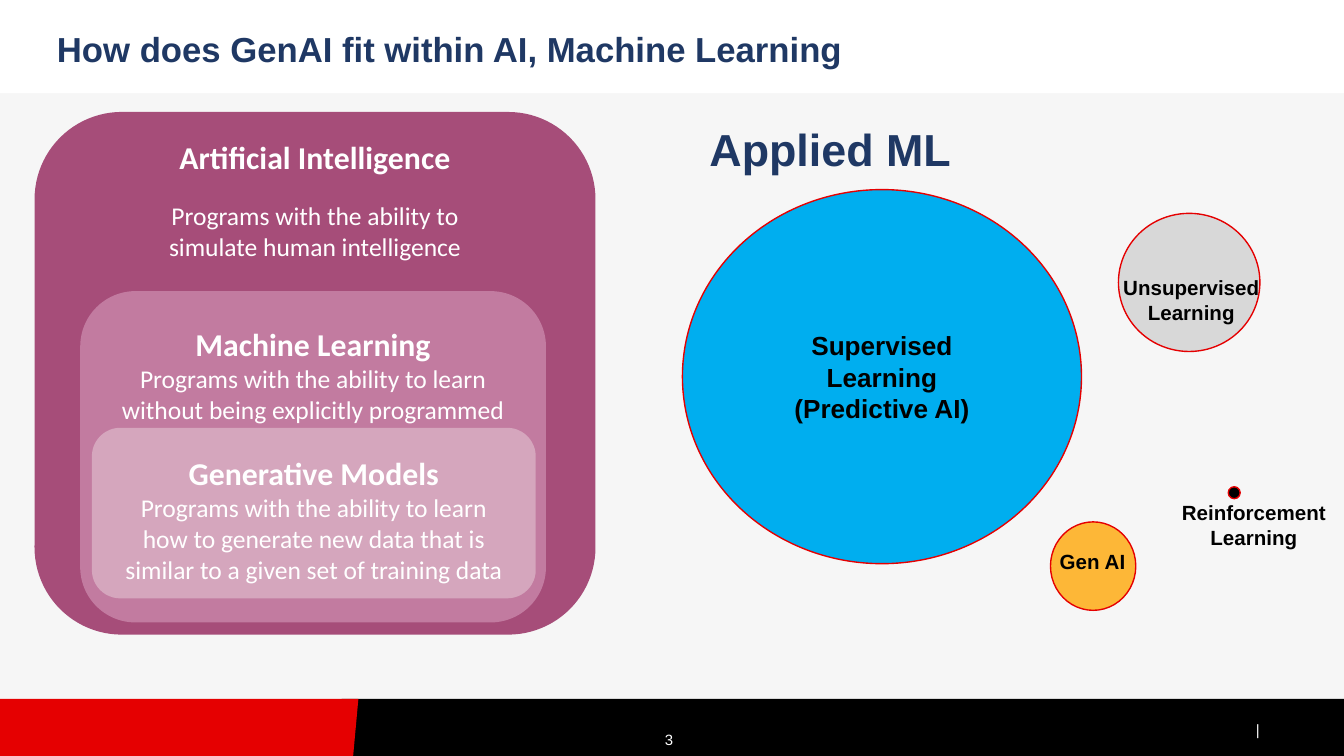
from dataclasses import dataclass, field

import pptx
import pptx.dml.color
import pptx.enum.shapes
import pptx.enum.text
import pptx.util

Pt = pptx.util.Pt
Kind = pptx.enum.shapes.MSO_SHAPE
Align = pptx.enum.text.PP_ALIGN
Anchor = pptx.enum.text.MSO_ANCHOR
Fit = pptx.enum.text.MSO_AUTO_SIZE

RED, BLACK, WHITE, NAVY = "E50001", "000000", "FFFFFF", "1F3864"
Box = tuple[float, float, float, float]
TIGHT = (5, 3, 5, 3)
EVEN = (7.2, 7.2, 7.2, 7.2)


@dataclass
class Line:
    text: str
    size: float
    color: str = BLACK
    bold: bool = True
    font: str = "Arial"
    form: dict = field(default_factory=lambda: {"alignment": Align.CENTER})


@dataclass
class Card:
    box: Box
    fill: str
    inset: Box
    head: str
    body: list[str]
    gap: float = 0


@dataclass
class Disc:
    box: Box
    fill: str
    label: str
    spot: Box


def tint(color: str) -> pptx.dml.color.RGBColor:
    return pptx.dml.color.RGBColor.from_string(color)


def apply(target, form: dict) -> None:
    for name, value in form.items():
        setattr(target, name, value)


def write(shape, lines: list[Line], inset: Box, anchor=Anchor.TOP) -> None:
    frame = shape.text_frame
    left, top, right, base = map(Pt, inset)
    apply(frame, {
        "word_wrap": True, "auto_size": Fit.NONE, "vertical_anchor": anchor,
        "margin_left": left, "margin_top": top,
        "margin_right": right, "margin_bottom": base,
    })
    for index, line in enumerate(lines):
        para = frame.add_paragraph() if index else frame.paragraphs[0]
        para.text = line.text
        apply(para, line.form)
        apply(para.font, {"name": line.font, "size": Pt(line.size), "bold": line.bold})
        para.font.color.rgb = tint(line.color)


def paint(shape, fill: str, edge: str = ""):
    shape.shadow.inherit = False
    shape.fill.solid()
    shape.fill.fore_color.rgb = tint(fill)
    if edge:
        shape.line.color.rgb = tint(edge)
        shape.line.width = Pt(0.75)
    else:
        shape.line.fill.background()
    return shape


def draw(shapes, kind, box: Box, fill: str, edge: str = ""):
    return paint(shapes.add_shape(kind, *map(Pt, box)), fill, edge)


def label(shapes, box: Box, line: Line, inset: Box = EVEN, anchor=Anchor.TOP) -> None:
    write(shapes.add_textbox(*map(Pt, box)), [line], inset, anchor)


def add_card(shapes, card: Card) -> None:
    shape = draw(shapes, Kind.ROUNDED_RECTANGLE, card.box, card.fill)
    shape.adjustments[0] = 0.167
    lines = [Line(card.head, 17, WHITE, font="Calibri")]
    for index, text in enumerate(card.body):
        form = {"alignment": Align.CENTER, "space_before": Pt(0 if index else card.gap)}
        lines.append(Line(text, 13.7, WHITE, False, "Calibri", form))
    write(shape, lines, card.inset)


def add_disc(shapes, disc: Disc) -> None:
    group = shapes.add_group_shape().shapes
    draw(group, Kind.OVAL, disc.box, disc.fill, RED)
    label(group, disc.spot, Line(disc.label, 11))


CARDS = [
    Card((18.5, 60, 300.5, 280), "A64D79", (9.6, 0, 9.6, 9.6), "Artificial Intelligence",
         ["Programs with the ability to", "simulate human intelligence"], 13.3),
    Card((43, 156, 249.5, 177.5), "C27BA0", (9.6,) * 4, "Machine Learning",
         ["Programs with the ability to learn without being explicitly programmed"]),
    Card((49.2, 229.2, 237.8, 91.4), "D5A6BD", (9.6,) * 4, "Generative Models",
         ["Programs with the ability to learn how to generate new data that is "
          "similar to a given set of training data"]),
]
DISCS = [
    Disc((599.2, 114.3, 75.8, 74), "D8D8D8", "Unsupervised Learning", (579.2, 140.4, 118, 41)),
    Disc((562.8, 279.6, 45.7, 47.4), "FDB737", "Gen AI", (526.3, 287, 118, 28)),
    Disc((658, 260.8, 6.4, 6.4), BLACK, "Reinforcement Learning", (612.7, 260.8, 118, 41)),
]


def main() -> None:
    deck = pptx.Presentation()
    apply(deck, {"slide_width": Pt(720), "slide_height": Pt(405)})
    slide = deck.slides.add_slide(deck.slide_layouts[5])
    back = slide.background.fill
    back.solid()
    back.fore_color.rgb = tint("F6F6F6")
    shapes = slide.shapes

    draw(shapes, Kind.RECTANGLE, (183, 374.4, 537, 30.6), BLACK)
    draw(shapes, Kind.RECTANGLE, (0, 0, 720, 50), WHITE)
    label(shapes, (666.7, 380.2, 14.4, 21.6), Line("|", 8, WHITE, False), TIGHT, Anchor.MIDDLE)
    pen = shapes.build_freeform(Pt(0), Pt(374.4))
    pen.add_line_segments([(Pt(192), Pt(374.4)), (Pt(189.2), Pt(405)), (Pt(0), Pt(405))])
    paint(pen.convert_to_shape(), RED)

    flush = {"alignment": Align.LEFT, "line_spacing": 0.9}
    title = shapes.title
    apply(title, dict(zip(("left", "top", "width", "height"), map(Pt, (25.5, 14.4, 447, 34.6)))))
    write(title, [Line("How does GenAI fit within AI, Machine Learning", 18.6, NAVY, form=flush)], TIGHT)
    shapes._spTree.append(title._element)
    label(shapes, (336.2, 385.2, 29.5, 21.6),
          Line("3", 8, WHITE, False, form={"alignment": Align.RIGHT}), TIGHT, Anchor.MIDDLE)

    for card in CARDS:
        add_card(shapes, card)
    main_disc = draw(shapes, Kind.OVAL, (365.6, 101.6, 213.8, 200.4), "00AEEF", RED)
    write(main_disc, [Line("Supervised Learning", 14), Line("(Predictive AI)", 14)], EVEN, Anchor.MIDDLE)
    label(shapes, (373, 61.2, 236, 41), Line("Applied ML", 24, NAVY, form=flush))
    for disc in DISCS:
        add_disc(shapes, disc)

    deck.save("out.pptx")


if __name__ == "__main__":
    main()
